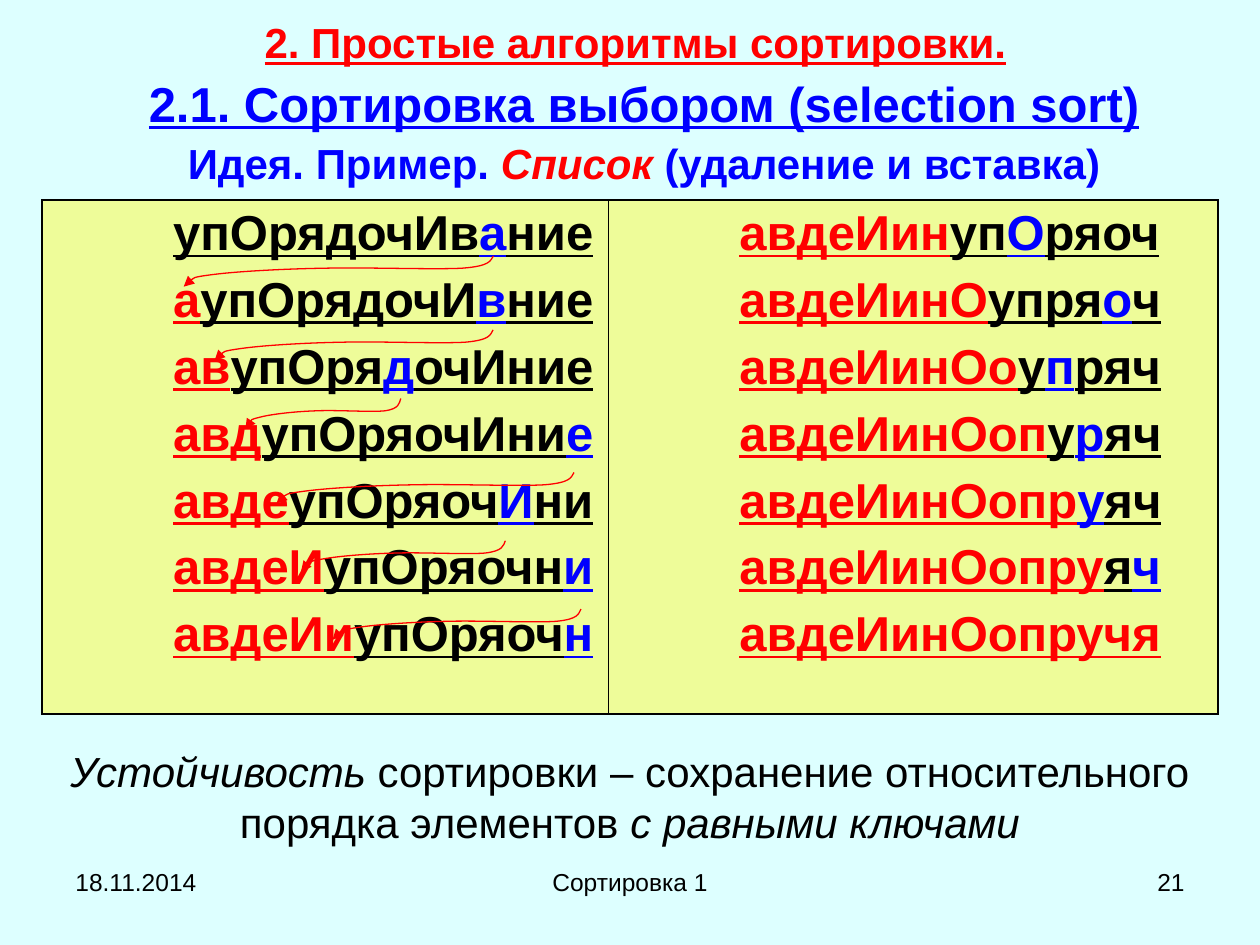
from lxml.etree import SubElement
from pptx import Presentation
from pptx.dml.color import RGBColor
from pptx.enum.text import MSO_ANCHOR as Anchor, PP_ALIGN as Align
from pptx.oxml import parse_xml
from pptx.oxml.ns import nsdecls, qn
from pptx.util import Pt

BLACK = RGBColor(0, 0, 0)
RED = RGBColor(0xFF, 0, 0)
BLUE = RGBColor(0, 0, 0xFF)
YELLOW = RGBColor(0xFF, 0xFA, 0x34)
PALE_CYAN = RGBColor(0xDD, 0xFF, 0xFF)


def write(paragraph, text, size=24, color=BLACK, bold=False, italic=False, underline=False):
    run = paragraph.add_run()
    run.text = text
    font = run.font
    font.name, font.size, font.color.rgb = "Arial", Pt(size), color
    font.bold, font.italic, font.underline = bold, italic, underline


def add_frame(left, top, width, height, align=Align.CENTER):
    frame = slide.shapes.add_textbox(Pt(left), Pt(top), Pt(width), Pt(height)).text_frame
    frame.word_wrap = True
    frame.paragraphs[0].alignment = align
    return frame


prs = Presentation()
prs.slide_width, prs.slide_height = Pt(720), Pt(540)
slide = prs.slides.add_slide(prs.slide_layouts[6])
slide.background.fill.solid()
slide.background.fill.fore_color.rgb = PALE_CYAN

for text, left, width, align in [
    ("18.11.2014", 36, 168, Align.LEFT),
    ("Сортировка 1", 246, 228, Align.CENTER),
    ("21", 516, 168, Align.RIGHT),
]:
    footer = add_frame(left, 492, width, 37.5, align)
    write(footer.paragraphs[0], text, size=14)

title = add_frame(13, 12, 707, 24)
title.vertical_anchor = Anchor.MIDDLE
write(title.paragraphs[0], "2. Простые алгоритмы сортировки.", color=RED, bold=True, underline=True)
write(title.paragraphs[0], " ", color=RED, bold=True)

subtitle = add_frame(18, 42, 672, 72)
method = subtitle.paragraphs[0]
idea = subtitle.add_paragraph()
idea.space_before = Pt(6)
for paragraph in (method, idea):
    paragraph.alignment = Align.CENTER
    paragraph.line_spacing = 0.9
    paragraph._p.get_or_add_pPr().set("marL", str(Pt(28)))
write(method, "2.1. Сортировка выбором (selection sort)", size=28, color=BLUE, bold=True, underline=True)
write(idea, "Идея. Пример. ", color=BLUE, bold=True)
write(idea, "Список", color=RED, bold=True, italic=True)
write(idea, " (удаление и вставка)", color=BLUE, bold=True)

# sorted part | before the minimum | minimum | after the minimum
first_steps = [
    "|упОрядочИв|а|ние",
    "а|упОрядочИ|в|ние",
    "ав|упОря|д|очИние",
    "авд|упОряочИни|е",
    "авде|упОряоч|И|ни",
    "авдеИ|упОряочн|и",
    "авдеИи|упОряоч|н",
]
last_steps = [
    "авдеИин|уп|О|ряоч",
    "авдеИинО|упря|о|ч",
    "авдеИинОо|у|п|ряч",
    "авдеИинОоп|у|р|яч",
    "авдеИинОопр||у|яч",
    "авдеИинОопру|я|ч",
    "авдеИинОопручя",
]
table = slide.shapes.add_table(1, 2, Pt(24), Pt(114.3), Pt(672), Pt(293.7)).table
table.first_row = table.horz_banding = False
table.columns[0].width, table.columns[1].width = Pt(323.6), Pt(348.4)
for column, (steps, left_border, right_border) in enumerate([
    (first_steps, 1.08, 0.45),
    (last_steps, 0.45, 1.08),
]):
    cell = table.cell(0, column)
    cell.margin_left = cell.margin_right = Pt(3)
    cell.margin_top = cell.margin_bottom = Pt(3.6)
    cell.fill.solid()
    cell.fill.fore_color.rgb = YELLOW
    properties = cell._tc.get_or_add_tcPr()
    SubElement(properties.find(".//" + qn("a:srgbClr")), qn("a:alpha"), val="50000")
    borders = [("lnL", left_border), ("lnR", right_border), ("lnT", 1.08), ("lnB", 1.08)]
    for position, (side, width) in enumerate(borders):
        properties.insert(position, parse_xml(
            f'<a:{side} {nsdecls("a")} w="{Pt(width)}"><a:solidFill>'
            f'<a:srgbClr val="{BLACK}"/></a:solidFill></a:{side}>'))
    for row, step in enumerate(steps):
        line = cell.text_frame.add_paragraph() if row else cell.text_frame.paragraphs[0]
        line._p.get_or_add_pPr().set("marL", str(Pt(72)))
        if row:
            line.space_before = Pt(7)
        for part, color in zip(step.split("|"), (RED, BLACK, BLUE, BLACK)):
            if part:
                write(line, part, size=28, color=color, bold=True, underline=True)

stability = add_frame(18, 422.6, 684, 65).paragraphs[0]
write(stability, "Устойчивость", italic=True)
write(stability, " сортировки – сохранение относительного порядка элементов ")
write(stability, "с равными ключами", italic=True)

# Bézier pieces of one move (two controls and an end), as shares of its width and height
move_pieces = [
    ((0.99, 0.16), (0.99, 0.33), (0.9, 0.4)),
    ((0.81, 0.45), (0.59, 0.37), (0.46, 0.4)),
    ((0.33, 0.42), (0.18, 0.5), (0.1, 0.6)),
    ((0.02, 0.7), (0.01, 0.85), (0, 1)),
]
MOVE_HEIGHT = 17.6
for left, top, width in [
    (105, 146.2, 177), (122.6, 188.5, 159.2), (140.2, 227.7, 88.8),
    (158, 270, 170), (172, 309, 116.8), (190, 348, 142),
]:
    builder = slide.shapes.build_freeform(Pt(left + width), Pt(top))
    builder.add_line_segments(
        [(Pt(left + width * x), Pt(top + MOVE_HEIGHT * y)) for *controls, (x, y) in move_pieces],
        close=False)
    move = builder.convert_to_shape()
    segments = list(move._element.iter(qn("a:lnTo")))
    for segment, piece in zip(segments, move_pieces):
        curve = SubElement(segment.getparent(), qn("a:cubicBezTo"))
        for x, y in piece:
            SubElement(curve, qn("a:pt"), x=str(Pt(width * x)), y=str(Pt(MOVE_HEIGHT * y)))
        segment.getparent().replace(segment, curve)
    move.shadow.inherit = False
    move.fill.background()
    move.line.color.rgb = RED
    move.line.width = Pt(0.75)
    SubElement(move.line._get_or_add_ln(), qn("a:tailEnd"), type="triangle")

prs.save("out.pptx")
